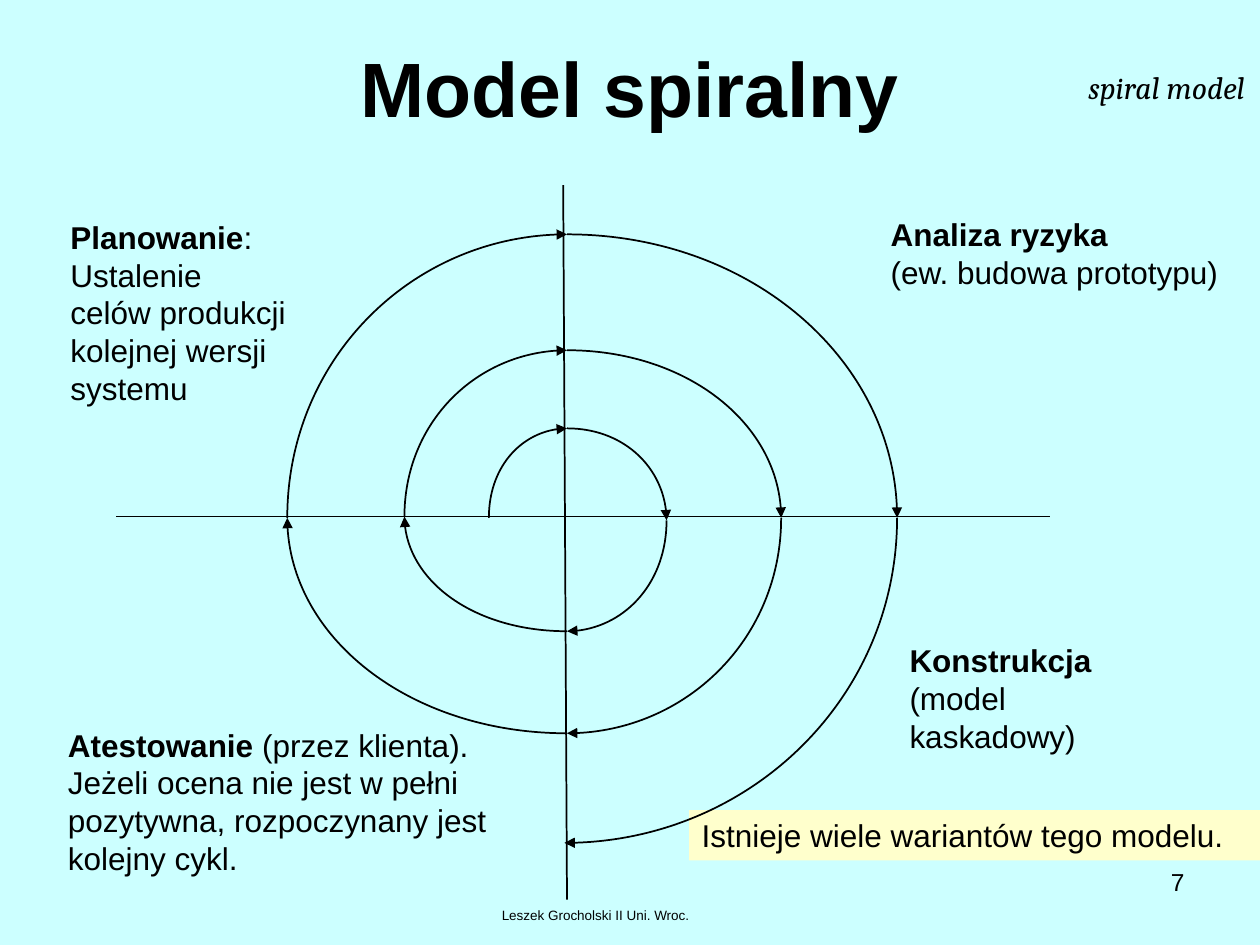
import itertools

import pptx
import pptx.dml.color
import pptx.enum.shapes
import pptx.enum.text
import pptx.oxml
import pptx.oxml.ns
import pptx.util

COLORS = {"background": "CCFFFF", "banner": "FFFFCC", "ink": "000000"}
ALIGN = pptx.enum.text.PP_ALIGN
ANCHOR = pptx.enum.text.MSO_ANCHOR
COLUMNS, ROWS = 100, 75
CURVE = 0.55


def color(name):
    return pptx.dml.color.RGBColor.from_string(COLORS[name])


def element(tag, **attributes):
    node = pptx.oxml.parse_xml(f"<{tag} {pptx.oxml.ns.nsdecls('a')}/>")
    for key, value in attributes.items():
        node.set(key, value)
    return node


class SpiralSlide:
    font = "Arial"
    size = 18
    line_width = 1

    def __init__(self, deck):
        self.column = deck.slide_width / COLUMNS
        self.row = deck.slide_height / ROWS
        self.page = deck.slides.add_slide(deck.slide_layouts[6])
        fill = self.page.background.fill
        fill.solid()
        fill.fore_color.rgb = color("background")

    def place(self, *lengths):
        units = itertools.cycle((self.column, self.row))
        return [round(length * unit) for length, unit in zip(lengths, units)]

    def fill_text(self, box, lead, rest="", size=size, font=font, bold=False,
                  italic=False, align=ALIGN.LEFT, anchor=ANCHOR.TOP, wrap=True):
        frame = box.text_frame
        frame.word_wrap = wrap
        frame.vertical_anchor = anchor
        frame.text = lead
        frame.paragraphs[0].runs[0].font.bold = bold
        tail, *lines = rest.split("\n")
        if tail:
            frame.paragraphs[0].add_run().text = tail
        for line in lines:
            frame.add_paragraph().text = line
        for para in frame.paragraphs:
            para.alignment = align
            for span in para.runs:
                span.font.name = font
                span.font.size = pptx.util.Pt(size)
                span.font.italic = italic
                span.font.color.rgb = color("ink")

    def text(self, at, lead, rest="", **style):
        box = self.page.shapes.add_textbox(*self.place(*at))
        self.fill_text(box, lead, rest, **style)

    def banner(self, at, words):
        kind = pptx.enum.shapes.MSO_SHAPE.RECTANGLE
        box = self.page.shapes.add_shape(kind, *self.place(*at))
        box.shadow.inherit = False
        box.fill.solid()
        box.fill.fore_color.rgb = color("banner")
        box.line.fill.background()
        self.fill_text(box, words)

    def stroke(self, line):
        line.color.rgb = color("ink")
        line.width = pptx.util.Pt(self.line_width)

    def axis(self, start, end):
        kind = pptx.enum.shapes.MSO_CONNECTOR.STRAIGHT
        axis = self.page.shapes.add_connector(kind, *self.place(*start, *end))
        self.stroke(axis.line)
        axis._element.spPr.append(element("a:effectLst"))

    def arc(self, start, end, leaves_vertically):
        (x1, y1), (x2, y2) = start, end
        dx, dy = (x2 - x1) * CURVE, (y2 - y1) * CURVE
        if leaves_vertically:
            controls = (x1, y1 + dy), (x2 - dx, y2)
        else:
            controls = (x1 + dx, y1), (x2, y2 - dy)
        builder = self.page.shapes.build_freeform(*self.place(*start))
        points = [self.place(*point) for point in (*controls, end)]
        builder.add_line_segments(points, close=False)
        arc = builder.convert_to_shape()
        arc.shadow.inherit = False
        arc.fill.background()
        self.stroke(arc.line)
        properties = arc._element.spPr
        properties.find(pptx.oxml.ns.qn("a:ln")).append(element("a:tailEnd", type="triangle"))
        outline = next(properties.iter(pptx.oxml.ns.qn("a:path")))
        bezier = element("a:cubicBezTo")
        for segment in outline.findall(pptx.oxml.ns.qn("a:lnTo")):
            bezier.append(segment[0])
            outline.remove(segment)
        outline.append(bezier)

    def spiral(self, points):
        for index, (start, end) in enumerate(itertools.pairwise(points)):
            self.arc(start, end, index % 2 == 0)


def main():
    deck = pptx.Presentation()
    deck.slide_width = pptx.util.Inches(10)
    deck.slide_height = pptx.util.Inches(7.5)
    slide = SpiralSlide(deck)

    slide.text((28.7, 71.5, 37.1, 2.4), "Leszek Grocholski II Uni. Wroc.",
               size=7.7, align=ALIGN.CENTER)
    slide.text((71.7, 68.3, 23.3, 5.2), "7", size=14, align=ALIGN.RIGHT)
    slide.text((5, 3, 90, 7.7), "Model spiralny", size=44, bold=True,
               align=ALIGN.CENTER, anchor=ANCHOR.MIDDLE)
    slide.banner((54.7, 64.3, 47.3, 4), "Istnieje wiele wariantów tego modelu.")

    slide.axis((83.3, 41), (9.2, 41))
    slide.axis((44.7, 14.7), (45, 71.4))
    slide.spiral([
        (38.8, 41.1), (45, 34), (52.9, 41.3), (45, 50.1),
        (32.1, 41), (45, 27.8), (62, 41.1), (45, 58.2),
        (22.8, 41.1), (45, 18.6), (71.2, 41.1), (44.8, 66.9),
    ])

    slide.text((4.6, 16.8, 27.5, 13), "Planowanie",
               ": Ustalenie\ncelów produkcji\nkolejnej wersji\nsystemu",
               bold=True, wrap=False)
    slide.text((69.7, 16.6, 30.2, 7), "Analiza ryzyka",
               "\n(ew. budowa prototypu)", bold=True)
    slide.text((71.2, 50.4, 23.5, 7), "Konstrukcja",
               "\n(model kaskadowy)", bold=True, wrap=False)
    slide.text((4.4, 57.1, 36.9, 13), "Atestowanie",
               " (przez klienta).\nJeżeli ocena nie jest w pełni\n"
               "pozytywna, rozpoczynany jest kolejny cykl.", bold=True)
    slide.text((85.4, 4.9, 14.5, 4), "spiral model",
               font="Cambria", italic=True, wrap=False)

    deck.save("out.pptx")


if __name__ == "__main__":
    main()
